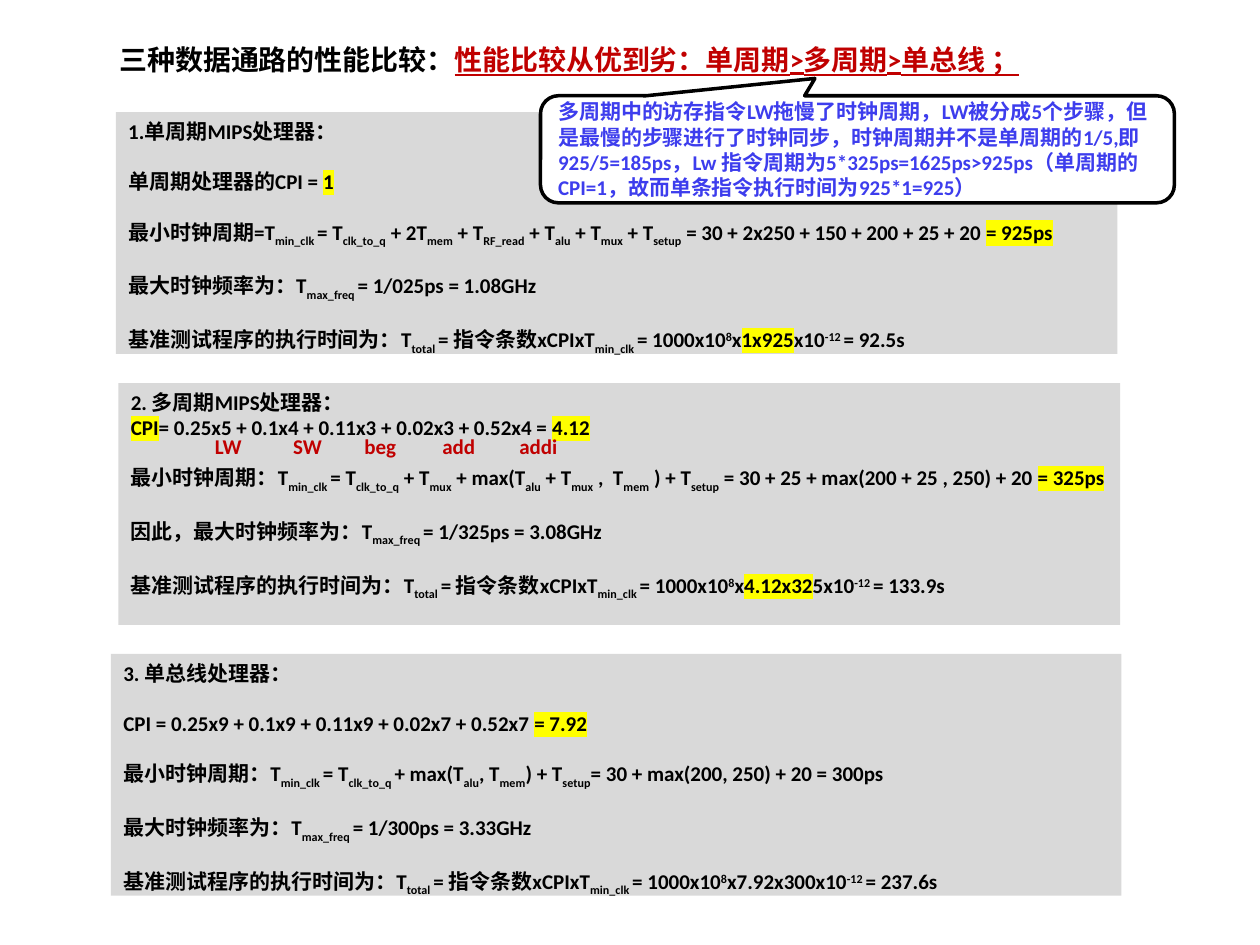
from dataclasses import dataclass
from typing import Any

from lxml import etree
from pptx import Presentation
from pptx import util as u
from pptx.dml.color import RGBColor
from pptx.enum import shapes, text
from pptx.oxml.ns import qn


@dataclass(frozen=True)
class Theme:
    font: str = "Calibri"
    title_size: float = 16
    body_size: float = 12
    ink: str = "000000"
    accent: str = "C00000"
    note: str = "3D3DED"
    panel: str = "D9D9D9"
    paper: str = "FFFFFF"
    marker: str = "FFFF00"
    row_gap: float = 14.4


@dataclass(frozen=True)
class Frame:
    left: float
    top: float
    width: float
    height: float


@dataclass(frozen=True)
class Row:
    content: str
    spaced: bool = True


@dataclass(frozen=True)
class Panel:
    frame: Frame
    rows: tuple[Row, ...]


THEME = Theme()
BASELINES = {"_": "-25000", "^": "30000"}


def frequency_row(lead: str, result: str) -> Row:
    return Row(f"{lead}最大时钟频率为：T|_max_freq |= 1/{result}")


def total_row(product: str, result: str) -> Row:
    return Row("基准测试程序的执行时间为：T|_total |= 指令条数xCPIxT|_min_clk "
               f"|= 1000x10|^8|{product}x10|^-12 |= {result}")


PANELS = (
    Panel(Frame(63.4, 373.7, 577.4, 138.2), (
        Row("3. 单总线处理器："),
        Row("CPI = 0.25x9 + 0.1x9 + 0.11x9 + 0.02x7 + 0.52x7 |*= 7.92"),
        Row("最小时钟周期：T|_min_clk |= T|_clk_to_q |+ max(T|_alu|, T|_mem|) + T|_setup"
            "|= 30 + max(200, 250) + 20 = 300ps"),
        frequency_row("", "300ps = 3.33GHz"),
        total_row("x7.92x300", "237.6s"),
    )),
    Panel(Frame(66.2, 64.1, 572.4, 138.2), (
        Row("1.单周期MIPS处理器："),
        Row("单周期处理器的CPI = |*1"),
        Row("最小时钟周期=T|_min_clk |= T|_clk_to_q| + 2T|_mem| + T|_RF_read| + T|_alu"
            "| + T|_mux| + T|_setup| = 30 + 2x250 + 150 + 200 + 25 + 20 |*= 925ps"),
        frequency_row("", "025ps = 1.08GHz"),
        total_row("x|*1x925|", "92.5s"),
    )),
    Panel(Frame(67.7, 218.9, 572.4, 138.2), (
        Row("2. 多周期MIPS处理器："),
        Row("*CPI|= 0.25x5 + 0.1x4 + 0.11x3 + 0.02x3 + 0.52x4 = |*4.12", spaced=False),
        Row("最小时钟周期：T|_min_clk |= T|_clk_to_q| + T|_mux| + max(T|_alu| + T|_mux"
            "| ,  T|_mem| ) + T|_setup| = 30 + 25 + max(200 + 25 , 250) + 20 |*= 325ps"),
        frequency_row("因此，", "325ps = 3.08GHz"),
        total_row("x|*4.12x32|5", "133.9s"),
    )),
)

TITLE = "三种数据通路的性能比较："
RANKING = "性能比较从优到劣：单周期>多周期>单总线 ；"
NOTE = ("多周期中的访存指令LW拖慢了时钟周期，LW被分成5个步骤，但是最慢的步骤进行了时钟同步，"
        "时钟周期并不是单周期的1/5,即925/5=185ps，Lw 指令周期为5*325ps=1625ps>925ps"
        "（单周期的CPI=1，故而单条指令执行时间为925*1=925）")
INSTRUCTIONS = ("LW", "SW", "beg", "add", "addi")
INSTRUCTION_STOPS = (4.8, 44.8, 85.4, 130, 174)


def apply(target: Any, values: dict[str, Any]) -> None:
    for name, value in values.items():
        setattr(target, name, value)


def place(frame: Frame) -> tuple[u.Length, ...]:
    return tuple(u.Pt(n) for n in (frame.left, frame.top, frame.width, frame.height))


def add_run(paragraph: Any, content: str, color: str = THEME.ink,
            size: float = THEME.body_size, **extra: Any) -> Any:
    run = paragraph.add_run()
    run.text = content
    apply(run.font, {"name": THEME.font, "size": u.Pt(size), "bold": True, **extra})
    run.font.color.rgb = RGBColor.from_string(color)
    return run


def add_marked_runs(paragraph: Any, content: str) -> None:
    for piece in filter(None, content.split("|")):
        mark = piece[0] if piece[0] in "_^*" else ""
        run = add_run(paragraph, piece[len(mark):])
        properties = run._r.get_or_add_rPr()
        if mark in BASELINES:
            properties.set("baseline", BASELINES[mark])
        elif mark:
            highlight = etree.Element(qn("a:highlight"))
            etree.SubElement(highlight, qn("a:srgbClr"), val=THEME.marker)
            properties.find(qn("a:solidFill")).addnext(highlight)


def format_frame(shape: Any, anchor: Any = text.MSO_ANCHOR.TOP) -> Any:
    apply(shape.text_frame, {"word_wrap": True, "vertical_anchor": anchor})
    paragraph = shape.text_frame.paragraphs[0]
    paragraph.alignment = text.PP_ALIGN.LEFT
    return paragraph


def add_box(slide: Any, kind: Any, frame: Frame, fill: str) -> Any:
    shape = slide.shapes.add_shape(kind, *place(frame))
    shape.shadow.inherit = False
    shape.fill.solid()
    shape.fill.fore_color.rgb = RGBColor.from_string(fill)
    shape.line.fill.background()
    return shape


def add_panel(slide: Any, panel: Panel) -> None:
    shape = add_box(slide, shapes.MSO_SHAPE.RECTANGLE, panel.frame, THEME.panel)
    paragraph = format_frame(shape)
    for index, row in enumerate(panel.rows):
        if index:
            paragraph = shape.text_frame.add_paragraph()
            gap = THEME.row_gap if row.spaced else 0
            apply(paragraph, {"alignment": text.PP_ALIGN.LEFT, "space_before": u.Pt(gap)})
        add_marked_runs(paragraph, row.content)


def add_title(slide: Any, frame: Frame) -> None:
    paragraph = format_frame(slide.shapes.add_textbox(*place(frame)))
    paragraph._p.get_or_add_pPr().set("marL", str(u.Pt(7.2)))
    add_run(paragraph, TITLE, size=THEME.title_size)
    add_run(paragraph, RANKING, THEME.accent, THEME.title_size, underline=True)


def add_note(slide: Any, frame: Frame) -> None:
    shape = add_box(slide, shapes.MSO_SHAPE.ROUNDED_RECTANGULAR_CALLOUT, frame, THEME.paper)
    for index, value in enumerate((-0.067, -0.662, 0.167)):
        shape.adjustments[index] = value
    shape.line.color.rgb = RGBColor.from_string(THEME.ink)
    shape.line.width = u.Pt(2)
    add_run(format_frame(shape, text.MSO_ANCHOR.MIDDLE), NOTE, THEME.note)


def add_instruction_labels(slide: Any, frame: Frame) -> None:
    paragraph = format_frame(slide.shapes.add_textbox(*place(frame)))
    properties = paragraph._p.get_or_add_pPr()
    properties.set("marL", str(u.Pt(INSTRUCTION_STOPS[0])))
    stops = etree.SubElement(properties, qn("a:tabLst"))
    for position in INSTRUCTION_STOPS[1:]:
        etree.SubElement(stops, qn("a:tab"), pos=str(u.Pt(position)), algn="l")
    add_run(paragraph, "\t".join(INSTRUCTIONS), THEME.accent)


def main() -> None:
    presentation = Presentation()
    apply(presentation, {"slide_width": u.Pt(720), "slide_height": u.Pt(540)})
    slide = presentation.slides.add_slide(presentation.slide_layouts[6])
    for panel in PANELS:
        add_panel(slide, panel)
    add_title(slide, Frame(54, 20.9, 601.2, 26.6))
    add_note(slide, Frame(308.9, 54.7, 362.2, 61.2))
    add_instruction_labels(slide, Frame(110.9, 244.1, 226.8, 21.6))
    presentation.save("out.pptx")


if __name__ == "__main__":
    main()
